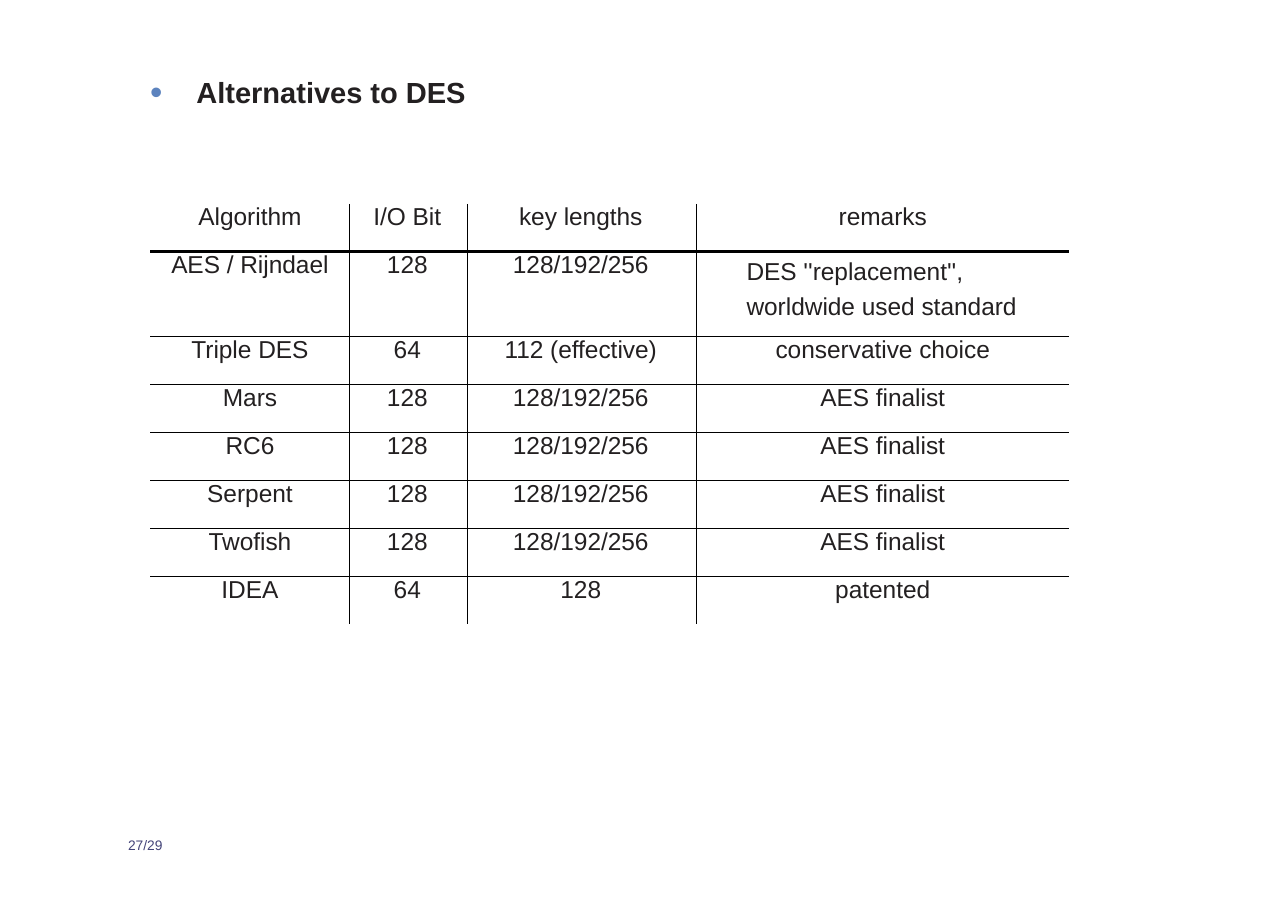
from lxml import etree
from pptx import Presentation
from pptx.dml.color import RGBColor
from pptx.enum.text import MSO_ANCHOR as Anchor, MSO_AUTO_SIZE as AutoSize, PP_ALIGN as Align
from pptx.oxml.ns import qn
from pptx.util import Inches, Pt


def style(paragraph, size, color, bold=False):
    font = paragraph.font
    font.name = "Arial"
    font.size = Pt(size)
    font.bold = bold
    font.color.rgb = RGBColor.from_string(color)


def add_border(cell, side, width):
    properties = cell._tc.get_or_add_tcPr()
    line = etree.SubElement(properties, qn(f"a:ln{side}"), w=str(Pt(width)))
    if width:
        fill = etree.SubElement(line, qn("a:solidFill"))
        etree.SubElement(fill, qn("a:srgbClr"), val="000000")
    else:
        etree.SubElement(line, qn("a:noFill"))


presentation = Presentation()
presentation.slide_width = Inches(11.69)
presentation.slide_height = Inches(8.26)
COLUMN = presentation.slide_width / 100
ROW = presentation.slide_height / 100
INK = "232021"

slide = presentation.slides.add_slide(presentation.slide_layouts[5])

title = slide.shapes.title
title.left, title.top = int(11.57 * COLUMN), int(8.2 * ROW)
title.width, title.height = int(26 * COLUMN), int(4.84 * ROW)
page_number = slide.shapes.add_textbox(
    int(9.94 * COLUMN), int(91.9 * ROW), int(3.5 * COLUMN), int(1.94 * ROW)
)

for shape, text in ((title, "Alternatives to DES"), (page_number, "27/29")):
    frame = shape.text_frame
    frame.text = text
    frame.word_wrap = True
    frame.auto_size = AutoSize.NONE
    frame.vertical_anchor = Anchor.TOP
    frame.margin_left = frame.margin_right = frame.margin_top = frame.margin_bottom = 0
    frame.paragraphs[0].alignment = Align.LEFT

heading = title.text_frame.paragraphs[0]
bullet = heading._p.get_or_add_pPr()
bullet.set("marL", str(int(3.68 * COLUMN)))
bullet.set("indent", str(int(-3.6 * COLUMN)))
bullet_color = etree.SubElement(bullet, qn("a:buClr"))
etree.SubElement(bullet_color, qn("a:srgbClr"), val="5C83BE")
etree.SubElement(bullet, qn("a:buSzPct"), val="121000")
etree.SubElement(bullet, qn("a:buFont"), typeface="Arial")
etree.SubElement(bullet, qn("a:buChar"), char="•")
style(heading, 19, INK, bold=True)
style(page_number.text_frame.paragraphs[0], 9, "444479")

aes_keys = "128/192/256"
finalists = [(name, "128", aes_keys, "AES finalist") for name in ("Mars", "RC6", "Serpent", "Twofish")]
ciphers = [
    ("Algorithm", "I/O Bit", "key lengths", "remarks"),
    ("AES / Rijndael", "128", aes_keys, "DES ''replacement'', worldwide used standard"),
    ("Triple DES", "64", "112 (effective)", "conservative choice"),
    *finalists,
    ("IDEA", "64", "128", "patented"),
]
column_widths = [15.48, 9.15, 17.79, 28.91]
row_heights = [5.28, 9.32] + [5.27] * 6
last_row, last_column = len(ciphers) - 1, len(column_widths) - 1

table = slide.shapes.add_table(
    len(ciphers), len(column_widths), int(11.67 * COLUMN), int(22.4 * ROW),
    int(sum(column_widths) * COLUMN), int(sum(row_heights) * ROW),
).table
table.first_row = table.horz_banding = False
for column, width in zip(table.columns, column_widths):
    column.width = int(width * COLUMN)

for r, (cipher, height) in enumerate(zip(ciphers, row_heights)):
    table.rows[r].height = int(height * ROW)
    for c, text in enumerate(cipher):
        cell = table.cell(r, c)
        cell.margin_left = cell.margin_top = cell.margin_bottom = 0
        cell.margin_right = int(0.2 * COLUMN) if 0 < c < last_column else 0
        cell.vertical_anchor = Anchor.TOP
        cell.text = text
        paragraph = cell.text_frame.paragraphs[0]
        paragraph.alignment = Align.CENTER
        style(paragraph, 16, INK)
        add_border(cell, "L", 1 if c > 0 else 0)
        add_border(cell, "R", 1 if c < last_column else 0)
        add_border(cell, "T", {0: 0, 1: 2.25}.get(r, 1))
        add_border(cell, "B", {0: 2.25, last_row: 0}.get(r, 1))
        cell.fill.background()

aes_remark = table.cell(1, last_column)
aes_remark.margin_left = int(3.88 * COLUMN)
aes_remark.margin_right = int(2.6 * COLUMN)
remark_paragraph = aes_remark.text_frame.paragraphs[0]
remark_paragraph.alignment = Align.LEFT
remark_paragraph.line_spacing = 1.26

presentation.save("out.pptx")
